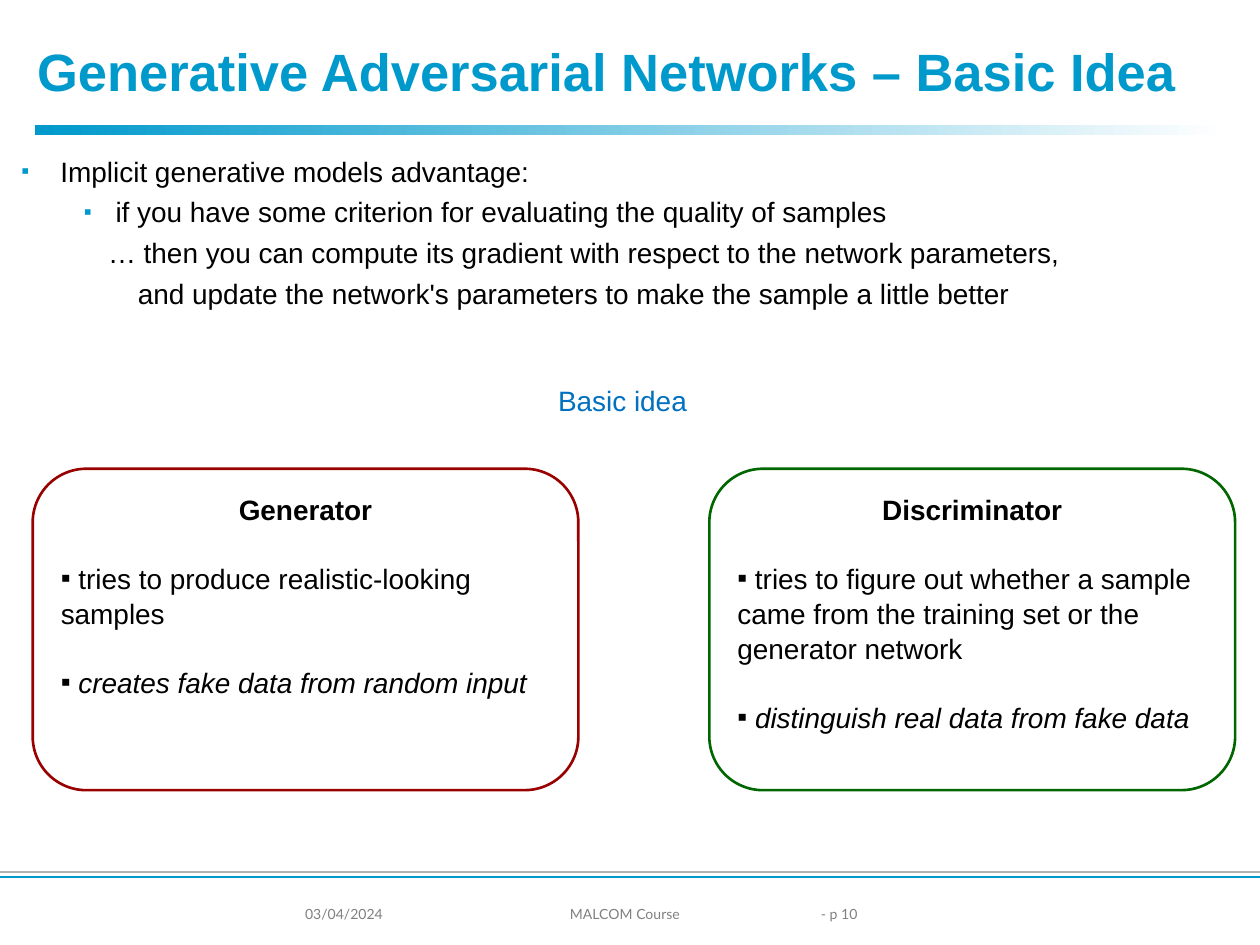
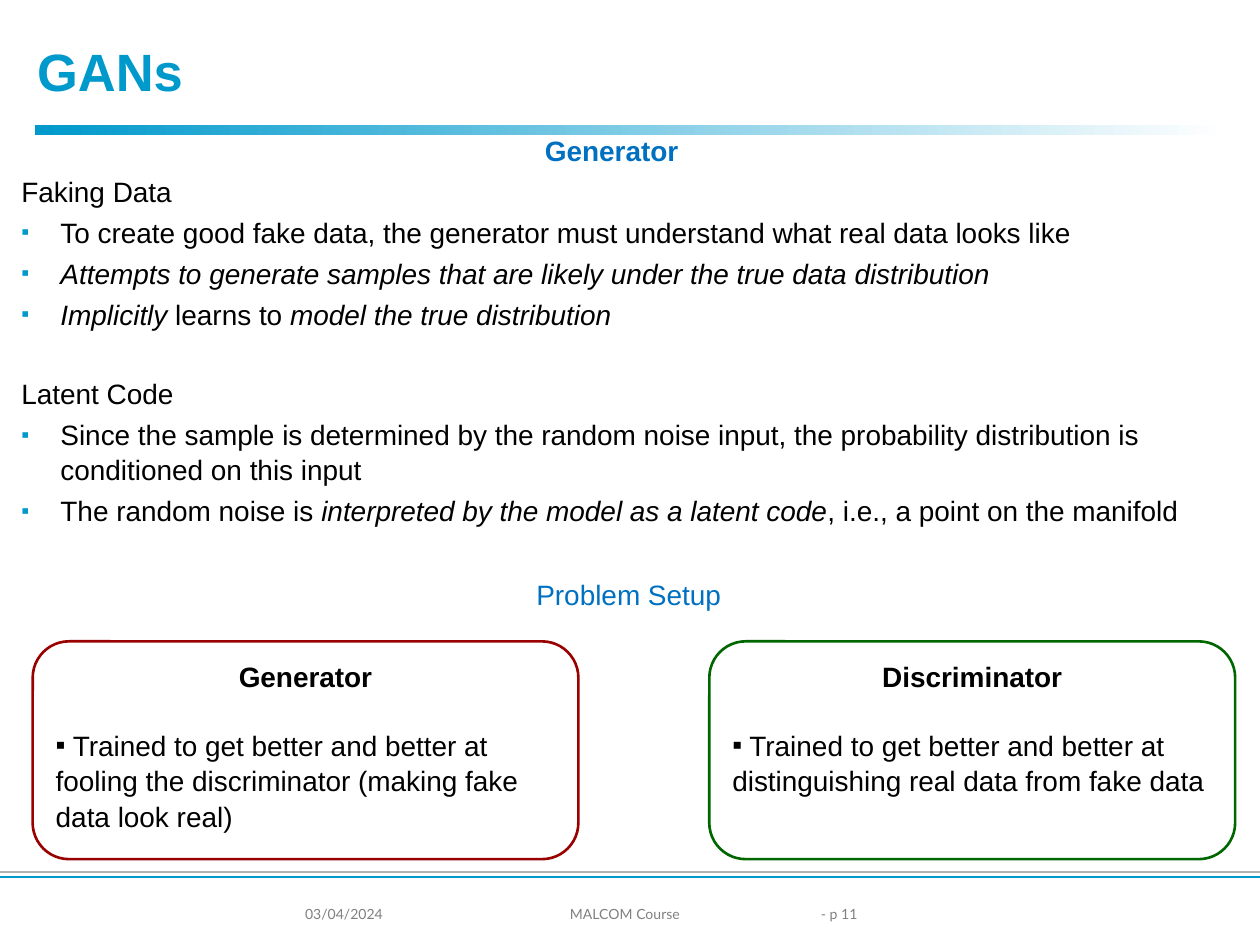
from lxml import etree
from pptx import Presentation
from pptx.dml.color import RGBColor
from pptx.enum import shapes, text
from pptx.oxml.ns import qn
from pptx.util import Cm, Pt

COLORS = {
    "accent": "0099CC", "heading": "0070C0", "body": "000000", "footer": "808080",
    "rule": "B2B2B2", "generator": "990000", "discriminator": "006600", "white": "FFFFFF",
}
CENTER = text.PP_ALIGN.CENTER
SLIDE_WIDTH, SLIDE_HEIGHT = 25.4, 19.05
BODY_GAP = 3.2
CARD_GAP = 19.2
BULLET = dict(bullet="accent", bullet_size=80, margin=0.79, hanging=0.79)
SUB_BULLET = dict(BULLET, margin=1.9, hanging=0.64)
HEADING = dict(color="heading", align=CENTER)


def color(name):
    return RGBColor.from_string(COLORS[name])


def add_bullet(properties, color_name, size):
    bullet_color = etree.SubElement(properties, qn("a:buClr"))
    etree.SubElement(bullet_color, qn("a:srgbClr"), val=COLORS[color_name])
    etree.SubElement(properties, qn("a:buSzPct"), val=str(size * 1000))
    etree.SubElement(properties, qn("a:buFont"), typeface="Arial")
    etree.SubElement(properties, qn("a:buChar"), char="▪")


def add_text(frame, content, size=16, font="Arial", color_name="body", bold=False,
             align=text.PP_ALIGN.LEFT, before=BODY_GAP, spacing=1.05, margin=0,
             hanging=0, bullet=None, bullet_size=100, **options):
    """Append a paragraph; the parts of content between asterisks are italic."""
    is_first = not frame.text
    paragraph = frame.paragraphs[0] if is_first else frame.add_paragraph()
    properties = paragraph._p.get_or_add_pPr()
    properties.set("marL", str(Cm(margin)))
    properties.set("indent", str(-Cm(hanging)))
    if bullet:
        add_bullet(properties, bullet, bullet_size)
    paragraph.alignment = align
    paragraph.line_spacing = spacing
    paragraph.space_before = Pt(0 if is_first else before)
    for index, part in enumerate(content.split("*")):
        if part:
            run = paragraph.add_run()
            run.text = part
            run.font.size = Pt(size)
            run.font.name = font
            run.font.bold = bold
            run.font.italic = index % 2 == 1
            run.font.color.rgb = color(options.get("color", color_name))


def add_box(slide, left, top, width, height):
    box = slide.shapes.add_textbox(Cm(left), Cm(top), Cm(width), Cm(height))
    box.text_frame.word_wrap = True
    return box.text_frame


def add_rule(slide, y, color_name):
    rule = slide.shapes.add_connector(
        shapes.MSO_CONNECTOR.STRAIGHT, 0, Cm(y), Cm(SLIDE_WIDTH), Cm(y))
    rule.line.color.rgb = color(color_name)
    rule.line.width = Pt(1.5)
    etree.SubElement(rule._element.spPr, qn("a:effectLst"))


def add_title_band(slide):
    band = slide.shapes.add_shape(
        shapes.MSO_SHAPE.RECTANGLE, Cm(0.7), Cm(2.53), Cm(24), Cm(0.2))
    band.shadow.inherit = False
    band.line.fill.background()
    band.fill.gradient()
    band.fill.gradient_angle = 0
    for stop, name, position in zip(band.fill.gradient_stops, ("accent", "white"), (0, 1)):
        stop.color.rgb = color(name)
        stop.position = position


def add_course_slide(presentation, title, page):
    """Add a blank slide with the title, band, rules and footer of the course."""
    slide = presentation.slides.add_slide(presentation.slide_layouts[6])
    add_title_band(slide)
    add_rule(slide, 17.58, "rule")
    add_rule(slide, 17.68, "accent")
    add_text(add_box(slide, 0.5, 0.6, 23.8, 1.8), title, size=30, color="accent", bold=True)
    footer = [
        ("03/04/2024", 5.9, 3, text.PP_ALIGN.LEFT),
        ("MALCOM Course", 9.1, 7, CENTER),
        (f"- p {page}", 16.3, 2, text.PP_ALIGN.LEFT),
    ]
    for label, left, width, align in footer:
        add_text(add_box(slide, left, 18.14, width, 0.56), label, size=8, font="Lato",
                 color="footer", align=align, spacing=1)
    return slide


def add_card(slide, role, left, top, width, height, points):
    card = slide.shapes.add_shape(
        shapes.MSO_SHAPE.ROUNDED_RECTANGLE, Cm(left), Cm(top), Cm(width), Cm(height))
    card.shadow.inherit = False
    card.fill.background()
    card.line.color.rgb = color(role.lower())
    card.line.width = Pt(1.5)
    frame = card.text_frame
    frame.word_wrap = True
    frame.vertical_anchor = text.MSO_ANCHOR.TOP
    add_text(frame, role, bold=True, align=CENTER)
    for point in points:
        add_text(frame, " " + point, before=CARD_GAP, bullet="body")


def add_card_pair(slide, top, height, generator_points, discriminator_points):
    add_card(slide, "Generator", 0.66, top, 11, height, generator_points)
    add_card(slide, "Discriminator", 14.3, top, 10.6, height, discriminator_points)


def add_basic_idea_slide(presentation):
    slide = add_course_slide(presentation, "Generative Adversarial Networks – Basic Idea", 10)
    body = add_box(slide, 0.18, 2.95, 24.74, 6.4)
    add_text(body, "Implicit generative models advantage:", **BULLET)
    add_text(body, "if you have some criterion for evaluating the quality of samples", **SUB_BULLET)
    add_text(body, "… then you can compute its gradient with respect to the network parameters,",
             margin=1.75)
    add_text(body, "and update the network's parameters to make the sample a little better",
             margin=2.35)
    add_text(body, "Basic idea", before=41, **HEADING)
    add_card_pair(
        slide, 9.45, 6.48,
        ["tries to produce realistic-looking samples",
         "*creates fake data from random input*"],
        ["tries to figure out whether a sample came from the training set or the generator network",
         "*distinguish real data from fake data*"])


def add_gans_slide(presentation):
    slide = add_course_slide(presentation, "GANs", 11)
    body = add_box(slide, 0.18, 2.54, 24.3, 8)
    add_text(body, "Generator", bold=True, **HEADING)
    sections = [
        ("Faking Data", BODY_GAP, [
            "To create good fake data, the generator must understand what real data looks like",
            "*Attempts to generate samples that are likely under the true data distribution*",
            "*Implicitly* learns to *model the true distribution*"]),
        ("Latent Code", 25.5, [
            "Since the sample is determined by the random noise input, the probability "
            "distribution is conditioned on this input",
            "The random noise is *interpreted by the model as a latent code*, "
            "i.e., a point on the manifold"]),
    ]
    for heading, before, points in sections:
        add_text(body, heading, before=before)
        for point in points:
            add_text(body, point, **BULLET)
    add_card_pair(
        slide, 12.93, 4.39,
        ["Trained to get better and better at fooling the discriminator "
         "(making fake data look real)"],
        ["Trained to get better and better at distinguishing real data from fake data"])
    add_text(add_box(slide, 0.56, 11.48, 24.23, 1.4), "Problem Setup", **HEADING)


def main():
    presentation = Presentation()
    presentation.slide_width = Cm(SLIDE_WIDTH)
    presentation.slide_height = Cm(SLIDE_HEIGHT)
    add_basic_idea_slide(presentation)
    add_gans_slide(presentation)
    presentation.save("out.pptx")


if __name__ == "__main__":
    main()
